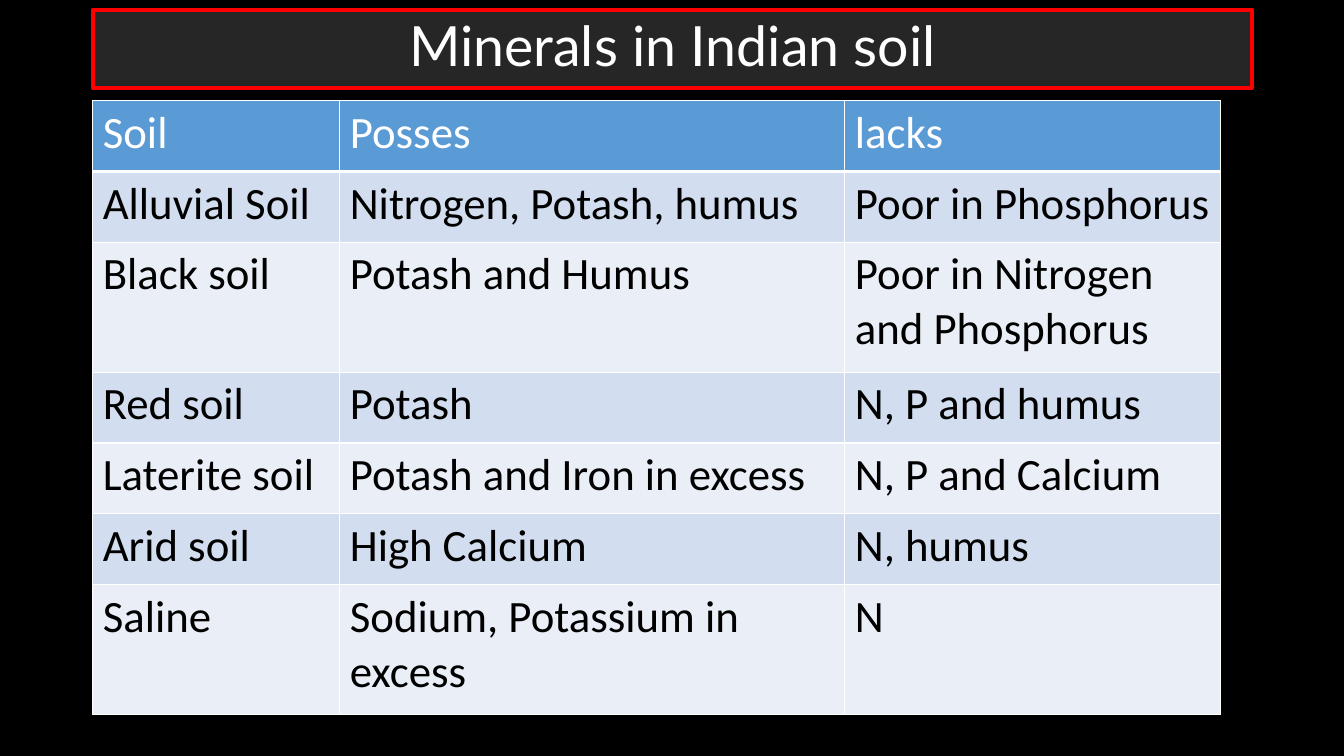
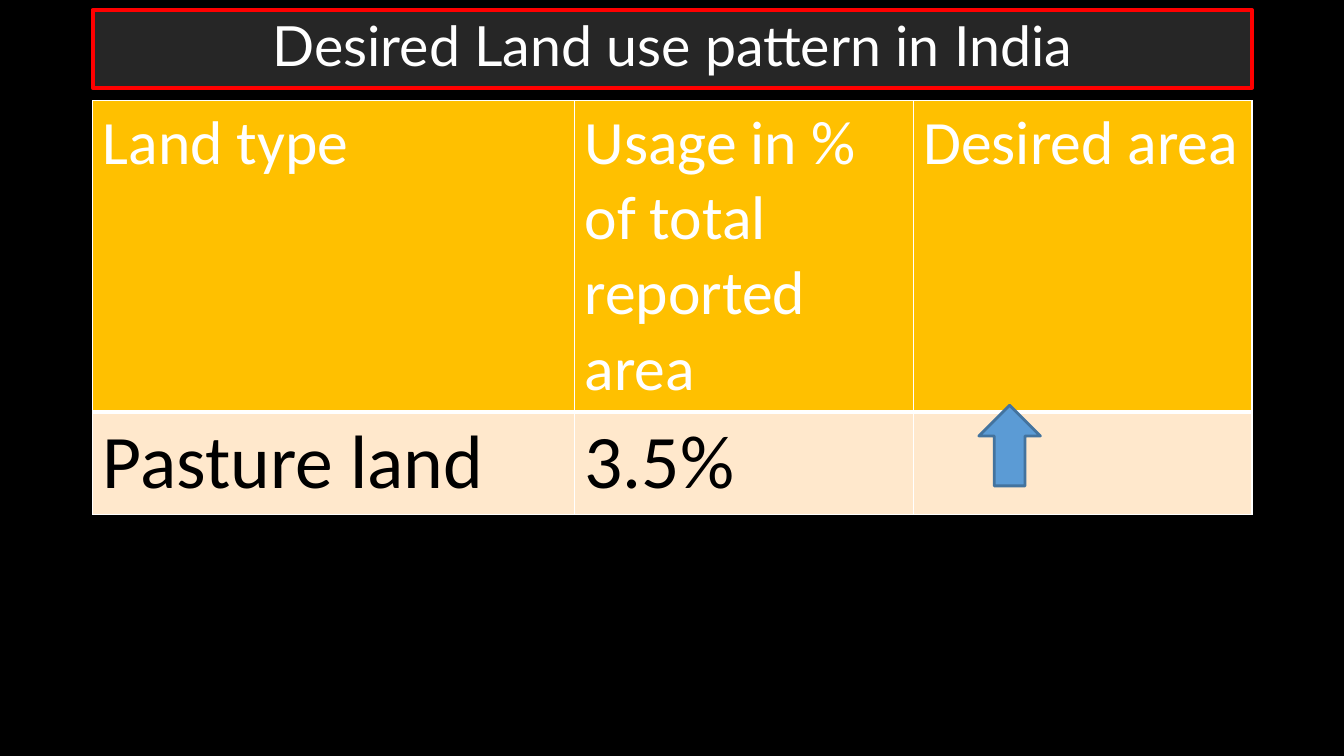
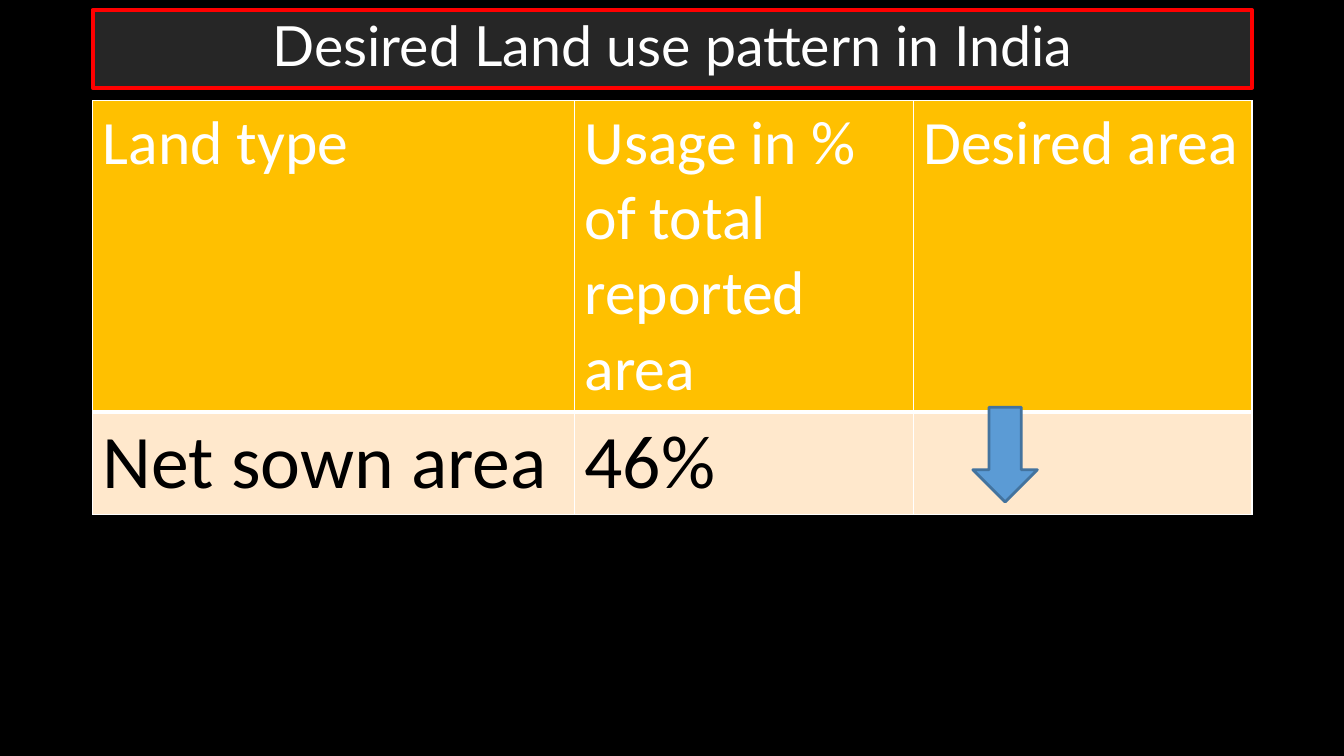
from pptx import Presentation
from pptx.dml.color import RGBColor
from pptx.enum.shapes import MSO_SHAPE
from pptx.enum.text import MSO_ANCHOR, MSO_AUTO_SIZE, PP_ALIGN
from pptx.oxml.ns import qn
from pptx.util import Inches, Pt
from lxml import etree

UP_ARROW = MSO_SHAPE.UP_ARROW
MIDDLE = MSO_ANCHOR.MIDDLE
NO_FIT = MSO_AUTO_SIZE.NONE
CENTER = PP_ALIGN.CENTER

COLORS = {
    "black": "000000", "white": "FFFFFF", "band": "262626", "red": "FF0000",
    "blue": "5B9BD5", "blue_dark": "43739E", "blue_mid": "D2DEEF",
    "blue_pale": "EAEFF7", "gold": "FFC000", "cream": "FFE8CC",
}
TITLE_FONT, BODY_FONT = "Lato", "Calibri"
LEFT, TABLE_TOP = 6.9, 13.33
TITLE_BOX = (LEFT, 1.33, 86.25, 10.27)


class Deck:
    def __init__(self):
        self.prs = Presentation()
        self.prs.slide_width, self.prs.slide_height = Inches(13.33), Inches(7.5)
        self.paint(self.prs.slide_master.background.fill, "black")
        self.s = None

    def x(self, percent):
        return round(self.prs.slide_width * percent / 100)

    def y(self, percent):
        return round(self.prs.slide_height * percent / 100)

    def box(self, x, y, w, h):
        return self.x(x), self.y(y), self.x(w), self.y(h)

    def color(self, name):
        return RGBColor.from_string(COLORS[name])

    def paint(self, fill, name):
        fill.solid()
        fill.fore_color.rgb = self.color(name)

    def outline(self, sp, fill, line, width):
        self.paint(sp.fill, fill)
        sp.line.color.rgb = self.color(line)
        sp.line.width = Pt(width)

    def text(self, p, content, size, color, font=BODY_FONT):
        r = p.add_run()
        r.text = content
        r.font.size, r.font.name, r.font.bold = Pt(size), font, False
        r.font.color.rgb = self.color(color)

    def slide(self, title):
        self.s = self.prs.slides.add_slide(self.prs.slide_layouts[5])
        sp = self.s.shapes.title
        sp.left, sp.top, sp.width, sp.height = self.box(*TITLE_BOX)
        geom = etree.SubElement(sp.element.spPr, qn("a:prstGeom"), prst="roundRect")
        etree.SubElement(geom, qn("a:avLst"))
        self.outline(sp, "band", "red", 3)
        tf = sp.text_frame
        tf.auto_size, tf.vertical_anchor, tf.word_wrap = NO_FIT, MIDDLE, True
        p = tf.paragraphs[0]
        p.alignment, p.line_spacing = CENTER, 0.9
        self.text(p, title, 39.6, "white", TITLE_FONT)

    def borders(self, cell, top, bottom):
        tcPr = cell._tc.get_or_add_tcPr()
        for side, width in (("L", 1), ("R", 1), ("T", top), ("B", bottom)):
            ln = etree.SubElement(tcPr, qn(f"a:ln{side}"), w=str(Pt(width)))
            fill = etree.SubElement(ln, qn("a:solidFill"))
            etree.SubElement(fill, qn("a:srgbClr"), val=COLORS["white"])

    def table(self, rows, widths, heights, head, bands, sizes):
        frame = self.s.shapes.add_table(
            len(rows), len(widths),
            *self.box(LEFT, TABLE_TOP, sum(widths), sum(heights)))
        table = frame.table
        for column, width in zip(table.columns, widths):
            column.width = self.x(width)
        for i, (row, height) in enumerate(zip(rows, heights)):
            table.rows[i].height = self.y(height)
            is_head = i == 0
            for j, content in enumerate(row):
                cell = table.cell(i, j)
                self.borders(cell, 3 if i == 1 else 1, 3 if is_head else 1)
                self.paint(cell.fill, head if is_head else bands[(i - 1) % len(bands)])
                if content:
                    self.text(cell.text_frame.paragraphs[0], content,
                              sizes[0] if is_head else sizes[1],
                              "white" if is_head else "black")

    def arrow(self, box, rotation):
        sp = self.s.shapes.add_shape(UP_ARROW, *self.box(*box))
        sp.shadow.inherit = False
        sp.rotation = rotation
        self.outline(sp, "blue", "blue_dark", 2)


SOILS = [
    ("Soil", "Posses", "lacks"),
    ("Alluvial Soil", "Nitrogen, Potash, humus", "Poor in Phosphorus"),
    ("Black soil", "Potash and Humus", "Poor in Nitrogen and Phosphorus"),
    ("Red soil", "Potash", "N, P and humus"),
    ("Laterite soil", "Potash and Iron in excess", "N, P and Calcium"),
    ("Arid soil", "High Calcium", "N, humus"),
    ("Saline", "Sodium, Potassium in excess", "N"),
]
SINGLE, DOUBLE = 9.36, 17.2
LAND_HEAD = ("Land type", "Usage in % of total reported area", "Desired area")
LAND_USES = [
    ("Pasture land", "3.5%", (72.83, 53.6, 4.58, 10.67), 0),
    ("Net sown area", "46%", (72.38, 53.87, 4.8, 12.53), 180),
]

deck = Deck()
deck.slide("Minerals in Indian soil")
deck.table(SOILS, (18.38, 37.58, 27.98),
           (SINGLE, SINGLE, DOUBLE, SINGLE, SINGLE, SINGLE, DOUBLE),
           "blue", ("blue_mid", "blue_pale"), (32, 32))

for land, usage, arrow_box, rotation in LAND_USES:
    deck.slide("Desired Land use pattern in India")
    deck.table([LAND_HEAD, (land, usage, "")], (35.85, 25.2, 25.2), (40.13, 13.6),
               "gold", ("cream",), (44, 54))
    deck.arrow(arrow_box, rotation)

deck.prs.save("out.pptx")
